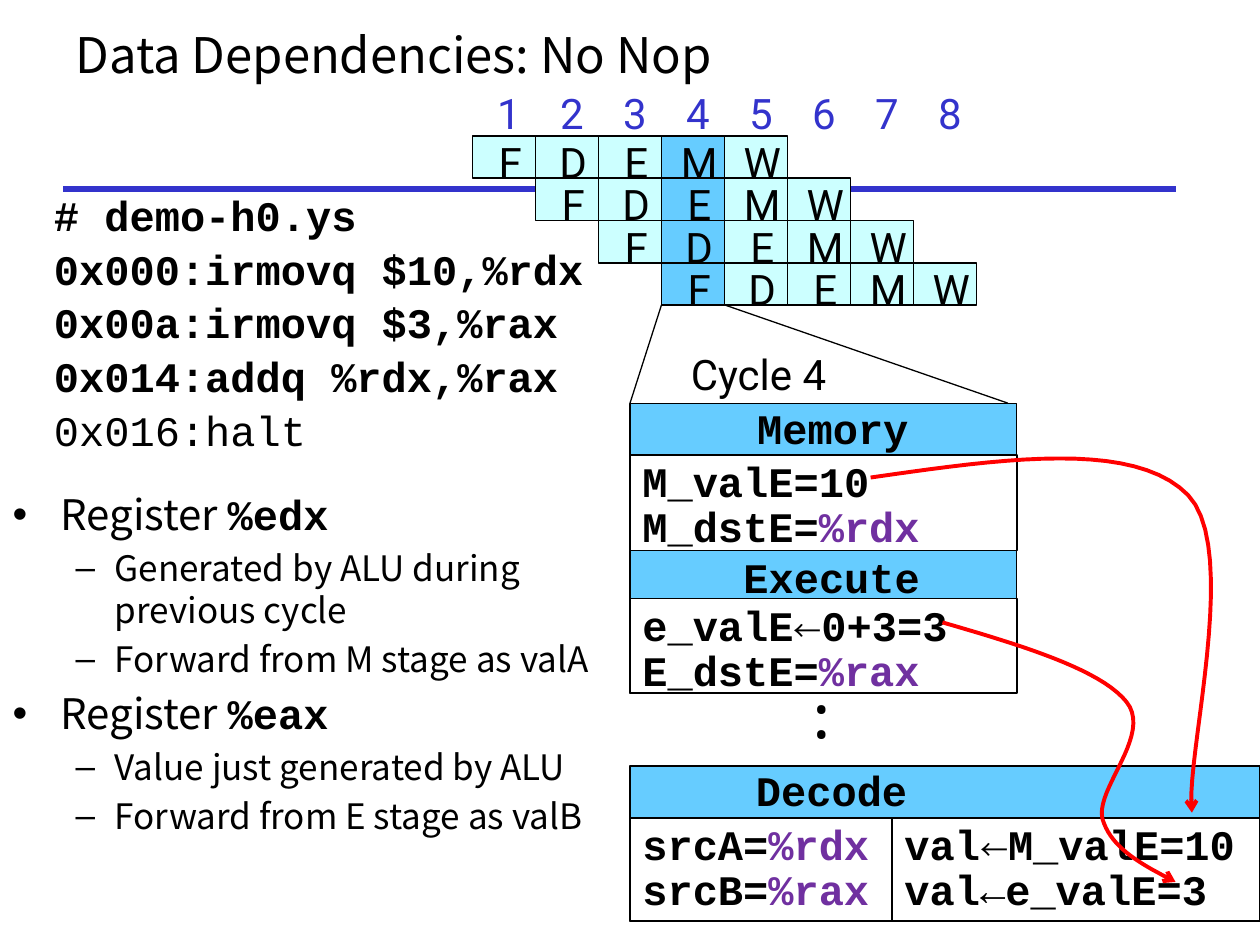
from pptx import Presentation
from pptx.dml.color import RGBColor
from pptx.enum.shapes import MSO_CONNECTOR, MSO_SHAPE
from pptx.enum.text import MSO_ANCHOR, MSO_AUTO_SIZE, PP_ALIGN
from pptx.oxml.ns import qn
from pptx.util import Inches, Pt
from lxml.etree import SubElement

BLACK = RGBColor(0, 0, 0)
WHITE = RGBColor(255, 255, 255)
BLUE = RGBColor(0x33, 0x33, 0xCC)
SKY = RGBColor(0x66, 0xCC, 0xFF)
PALE = RGBColor(0xCC, 0xFF, 0xFF)
RED = RGBColor(255, 0, 0)
PURPLE = RGBColor(0x70, 0x30, 0xA0)

SANS = {"name": "Noto Sans CJK KR", "size": Pt(24), "bold": False}
LABEL = {"name": "Roboto", "size": Pt(24), "bold": False}
CODE = {"name": "Courier New", "size": Pt(24), "bold": True}
REG = CODE | {"color": PURPLE}
ARROW = SANS | {"size": Pt(16)}


def write(p, runs, indent=None, bullet=None, **paragraph_format):
    pPr = p._p.get_or_add_pPr()
    if indent:
        pPr.set("marL", str(Inches(indent[0])))
        pPr.set("indent", str(Inches(indent[1])))
    if bullet:
        SubElement(pPr, qn("a:buChar")).set("char", bullet)
    for key, value in paragraph_format.items():
        setattr(p, key, value)
    for text, fmt in runs:
        r = p.add_run()
        r.text = text
        r.font.color.rgb = fmt.get("color", BLACK)
        for key in ("name", "size", "bold"):
            setattr(r.font, key, fmt[key])


def add_panel(x, y, w, h, fill, width):
    sp = s.shapes.add_shape(MSO_SHAPE.RECTANGLE, Inches(x), Inches(y), Inches(w), Inches(h))
    sp.shadow.inherit = False
    sp.fill.solid()
    sp.fill.fore_color.rgb = fill
    sp.line.color.rgb = BLACK
    sp.line.width = Pt(width)
    return sp


prs = Presentation()
prs.slide_width, prs.slide_height = Inches(10), Inches(7.5)
s = prs.slides.add_slide(prs.slide_layouts[1])

title, body = s.shapes.title, s.placeholders[1]
for sp, (x, y, w, h), anchor in (
    (title, (0.5, 0, 9.53, 0.85), MSO_ANCHOR.MIDDLE),
    (body, (0, 3.83, 4.93, 2.94), MSO_ANCHOR.TOP),
):
    sp.left, sp.top, sp.width, sp.height = Inches(x), Inches(y), Inches(w), Inches(h)
    sp.text_frame.auto_size = MSO_AUTO_SIZE.NONE
    sp.text_frame.vertical_anchor = anchor

write(title.text_frame.paragraphs[0],
      [("Data Dependencies: No Nop", SANS | {"size": Pt(28)})], alignment=PP_ALIGN.LEFT)

items = [
    (0, [("Register ", SANS), ("%edx", CODE)]),
    (1, [("Generated by ALU during previous cycle", SANS | {"size": Pt(20)})]),
    (1, [("Forward from M stage as valA", SANS | {"size": Pt(20)})]),
    (0, [("Register ", SANS), ("%eax", CODE)]),
    (1, [("Value just generated by ALU", SANS | {"size": Pt(20)})]),
    (1, [("Forward from E stage as valB", SANS | {"size": Pt(20)})]),
]
tf = body.text_frame
for i, (level, runs) in enumerate(items):
    p = tf.add_paragraph() if i else tf.paragraphs[0]
    write(p, runs, indent=((0.38, -0.38), (0.81, -0.31))[level], bullet="•–"[level],
          level=level, space_before=Pt((4.8, 4)[level] if i else 0))

listing = ["# demo-h0.ys", "0x000:irmovq $10,%rdx", "0x00a:irmovq $3,%rax",
           "0x014:addq %rdx,%rax", "0x016:halt"]
tf = s.shapes.add_textbox(Inches(0.33), Inches(1.5), Inches(4.92), Inches(2.38)).text_frame
tf.word_wrap = True
for i, line in enumerate(listing):
    p = tf.add_paragraph() if i else tf.paragraphs[0]
    write(p, [(line, CODE | {"bold": not line.endswith("halt")})], indent=(0.38, -0.38),
          line_spacing=0.9, space_before=Pt(4.8 if i else 0))

for x1, y1, x2, y2, color, width in (
    (0.5, 1.5, 9.33, 1.5, BLUE, 3),
    (5.25, 2.42, 5, 3.2, BLACK, 0.75),
    (5.75, 2.42, 8, 3.2, BLACK, 0.75),
):
    cx = s.shapes.add_connector(MSO_CONNECTOR.STRAIGHT, Inches(x1), Inches(y1), Inches(x2), Inches(y2))
    cx.line.color.rgb = color
    cx.line.width = Pt(width)
    SubElement(cx._element.spPr, qn("a:effectLst"))

STEP, LEFT, TOP, ROW = 0.5, 3.75, 1.08, 0.335
labels = [(LEFT + STEP * i + 0.29, 0.74, str(i + 1), LABEL | {"color": BLUE}) for i in range(8)]
for row in range(4):
    for stage, letter in enumerate("FDEMW"):
        cycle = row + stage
        x, y = LEFT + STEP * cycle, TOP + ROW * row
        add_panel(x, y, STEP, ROW, SKY if cycle == 3 else PALE, 1)
        labels.append((x + 0.3, y + 0.05, letter, LABEL))

for x, y, w, h in ((5, 6.08, 5, 1.23), (5, 3.2, 3.07, 0.86), (5, 4.37, 3.07, 1.13)):
    add_panel(x, y, w, h, SKY, 0.75)

panels = [
    ((5, 6.49, 3.07, 0.82), [[("srcA=", CODE), ("%rdx", REG)], [("srcB=", CODE), ("%rax", REG)]]),
    ((5, 3.61, 3.07, 0.76), [[("M_valE=10", CODE)], [("M_dstE=", CODE), ("%rdx", REG)]]),
    ((5, 4.75, 3.07, 0.75), [[("e_valE", CODE), ("←", ARROW), ("0+3=3", CODE)],
                             [("E_dstE=", CODE), ("%rax", REG)]]),
    ((7.08, 6.49, 2.92, 0.82), [[("val", CODE), ("←", ARROW), ("M_valE=10", CODE)],
                                [("val←e_valE=3", CODE)]]),
]
for box, lines in panels:
    tf = add_panel(*box, WHITE, 1).text_frame
    tf.vertical_anchor = MSO_ANCHOR.TOP
    for i, runs in enumerate(lines):
        p = tf.add_paragraph() if i else tf.paragraphs[0]
        write(p, runs, indent=(0.38, -0.38), alignment=PP_ALIGN.LEFT, line_spacing=0.9)

labels += [(6.52, 5.67, "•", LABEL), (6.52, 5.47, "•", LABEL), (6.02, 2.81, "Cycle 4", LABEL),
           (6.6, 6.11, "Decode", CODE), (6.61, 3.24, "Memory", CODE), (6.6, 4.42, "Execute", CODE)]
for center, y, text, fmt in labels:
    w = max(0.3, 0.2 * len(text))
    tf = s.shapes.add_textbox(Inches(center - w / 2), Inches(y), Inches(w), Inches(0.36)).text_frame
    tf.margin_left = tf.margin_right = tf.margin_top = tf.margin_bottom = 0
    tf.word_wrap = False
    write(tf.paragraphs[0], [(text, fmt)], alignment=PP_ALIGN.CENTER, line_spacing=0.9)

forwards = [
    [(7.48, 4.94), (8.1, 5.12), (8.73, 5.31), (8.94, 5.57), (9.15, 5.83), (8.69, 6.26),
     (8.75, 6.5), (8.82, 6.74), (9.08, 6.87), (9.33, 7)],
    [(6.91, 3.79), (7.96, 3.64), (9, 3.49), (9.43, 3.93), (9.85, 4.37), (9.4, 6.03), (9.46, 6.45)],
]
SAMPLES = 20
for knots in forwards:
    points = []
    for k in range(0, len(knots) - 1, 3):
        for n in range(1, SAMPLES + 1):
            t = n / SAMPLES
            weights = ((1 - t) ** 3, 3 * t * (1 - t) ** 2, 3 * t * t * (1 - t), t ** 3)
            points.append(tuple(Inches(sum(f * q[axis] for f, q in zip(weights, knots[k:k + 4])))
                                for axis in (0, 1)))
    fb = s.shapes.build_freeform(Inches(knots[0][0]), Inches(knots[0][1]))
    fb.add_line_segments(points, close=False)
    sp = fb.convert_to_shape()
    sp.shadow.inherit = False
    sp.fill.background()
    sp.line.color.rgb = RED
    sp.line.width = Pt(2.25)
    SubElement(sp.line._get_or_add_ln(), qn("a:tailEnd")).set("type", "arrow")

prs.save("out.pptx")
